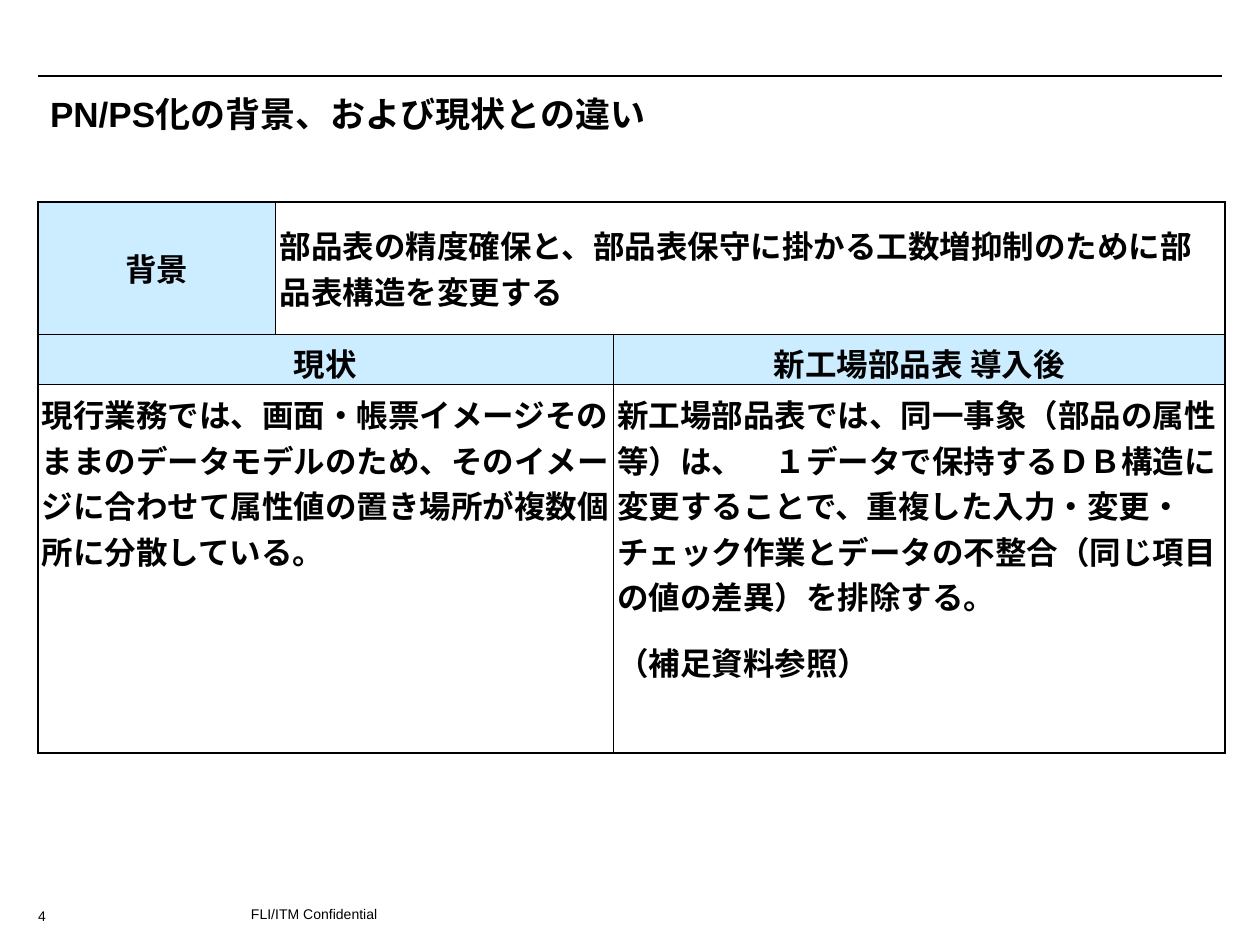
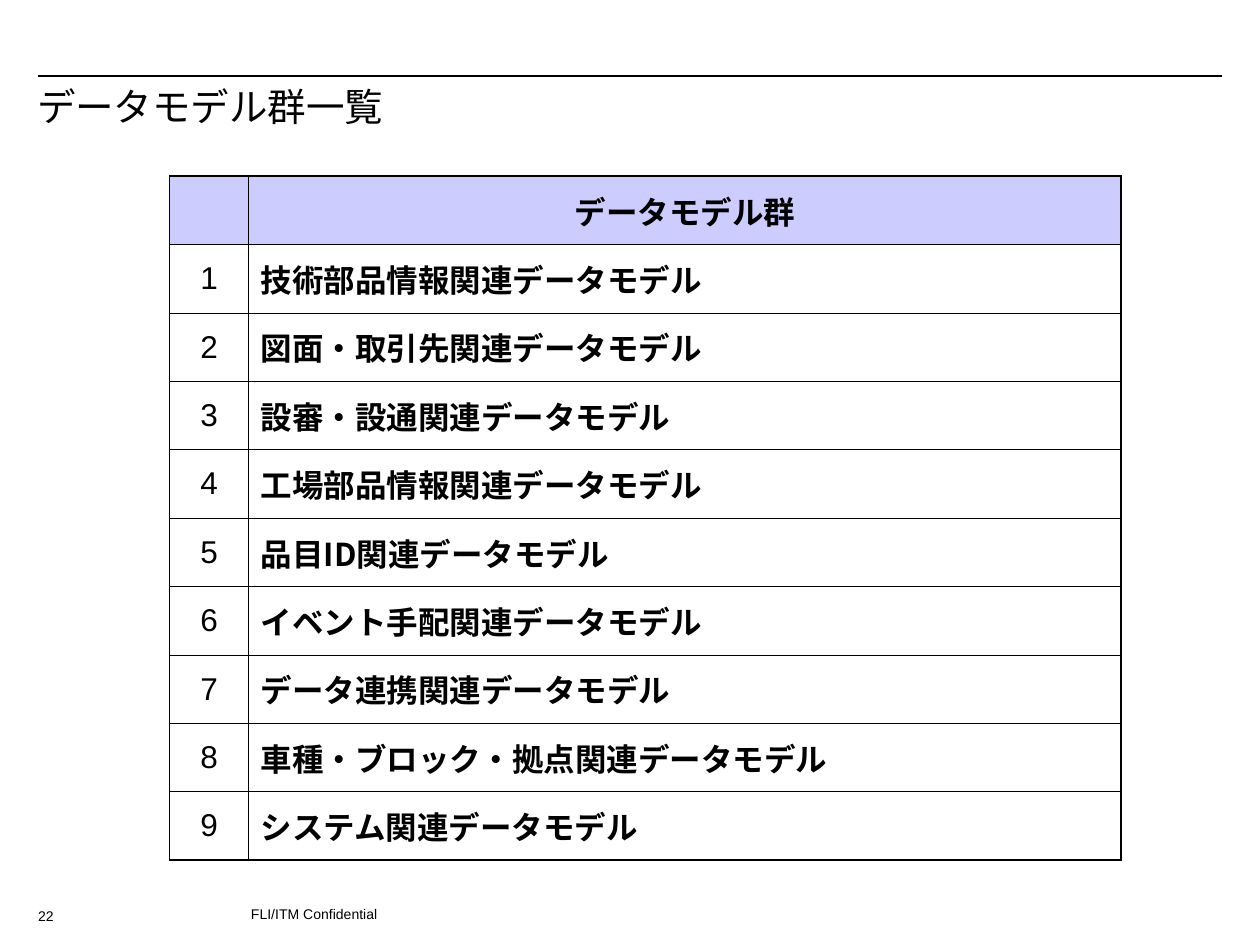
import pptx
import pptx.util
import pptx.dml.color
import pptx.enum.lang
import pptx.enum.shapes
import pptx.enum.text
import pptx.oxml.ns
from lxml import etree

Cm, Pt = pptx.util.Cm, pptx.util.Pt
RGBColor = pptx.dml.color.RGBColor
MSO_ANCHOR = pptx.enum.text.MSO_ANCHOR
PP_ALIGN = pptx.enum.text.PP_ALIGN
qn = pptx.oxml.ns.qn

BLACK = RGBColor(0x00, 0x00, 0x00)
PALE_BLUE = RGBColor(0xCC, 0xEC, 0xFF)
LAVENDER = RGBColor(0xCC, 0xCC, 0xFF)
ARIAL, GOTHIC, TIMES = "Arial", "Noto Sans CJK JP", "Times New Roman"
THICK, THIN = 1.08, 0.45
PAD_X, PAD_Y, PAD_NARROW = 0.25, 0.13, 0.08

MODEL_GROUPS = [
    "技術部品情報関連データモデル",
    "図面・取引先関連データモデル",
    "設審・設通関連データモデル",
    "工場部品情報関連データモデル",
    "品目ID関連データモデル",
    "イベント手配関連データモデル",
    "データ連携関連データモデル",
    "車種・ブロック・拠点関連データモデル",
    "システム関連データモデル",
]


def set_typeface(font, name, east):
    font.name = name
    font.language_id = pptx.enum.lang.MSO_LANGUAGE_ID.JAPANESE
    latin = font._element.find(qn("a:latin"))
    latin.addnext(etree.Element(qn("a:ea"), typeface=east))


def write(tf, paragraphs, size, bold=False, align=PP_ALIGN.LEFT,
          name=ARIAL, east=ARIAL):
    for i, runs in enumerate(paragraphs):
        p = tf.add_paragraph() if i else tf.paragraphs[0]
        p.alignment = align
        if i:
            p.space_before = Pt(11.2)
        p.font.size = Pt(size)
        p.font.bold = bold
        p.font.color.rgb = BLACK
        if isinstance(runs, str):
            set_typeface(p.font, name, east)
            runs = [(runs, None)]
        for text, typeface in runs:
            r = p.add_run()
            r.text = text
            if typeface:
                set_typeface(r.font, typeface, east)


def add_text(s, box, paragraphs, size, bold=False, anchor=MSO_ANCHOR.TOP):
    tf = s.shapes.add_textbox(*map(Cm, box)).text_frame
    tf.word_wrap = True
    tf.vertical_anchor = anchor
    tf.margin_left = tf.margin_right = Cm(PAD_X)
    tf.margin_top = tf.margin_bottom = Cm(PAD_Y)
    write(tf, paragraphs, size, bold)
    return tf


def add_frame(prs, number):
    s = prs.slides.add_slide(prs.slide_layouts[6])
    rule = s.shapes.add_connector(
        pptx.enum.shapes.MSO_CONNECTOR.STRAIGHT,
        Cm(0.76), Cm(1.53), Cm(24.64), Cm(1.53))
    rule.line.color.rgb = BLACK
    rule.line.width = Pt(0.75)
    etree.SubElement(rule._element.spPr, qn("a:effectLst"))
    add_text(s, (4.81, 18.13, 16.5, 0.5), ["FLI/ITM Confidential"], 8)
    add_text(s, (0.52, 18.16, 1.02, 0.5), [number], 8)
    return s


def add_grid(s, left, top, widths, heights):
    table = s.shapes.add_table(
        len(heights), len(widths), Cm(left), Cm(top),
        Cm(sum(widths)), Cm(sum(heights))).table
    table.first_row = table.horz_banding = False
    for col, width in zip(table.columns, widths):
        col.width = Cm(width)
    for row, height in zip(table.rows, heights):
        row.height = Cm(height)
    return table


def set_borders(table, r, c):
    cell = table.cell(r, c)
    outer = {
        "L": c == 0,
        "R": c + cell.span_width == len(table.columns),
        "T": r == 0,
        "B": r + 1 == len(table.rows),
    }
    tcPr = cell._tc.get_or_add_tcPr()
    for side, is_outer in outer.items():
        width = Pt(THICK if is_outer else THIN)
        ln = etree.SubElement(tcPr, qn("a:ln" + side), w=str(width))
        fill = etree.SubElement(ln, qn("a:solidFill"))
        etree.SubElement(fill, qn("a:srgbClr"), val=str(BLACK))


def fill_cell(table, r, c, paragraphs, fill=None, pad=PAD_X, bold=True,
              align=PP_ALIGN.LEFT, anchor=MSO_ANCHOR.MIDDLE, name=ARIAL):
    cell = table.cell(r, c)
    set_borders(table, r, c)
    if fill is None:
        cell.fill.background()
    else:
        cell.fill.solid()
        cell.fill.fore_color.rgb = fill
    cell.margin_left = cell.margin_right = Cm(pad)
    cell.margin_top = cell.margin_bottom = Cm(PAD_Y)
    cell.vertical_anchor = anchor
    write(cell.text_frame, paragraphs, 18, bold, align, name, GOTHIC)


def add_comparison(s, left, top):
    table = add_grid(s, left, top, [4.8, 6.8, 12.34], [2.66, 0.97, 7.42])
    table.cell(0, 1).merge(table.cell(0, 2))
    for r in (1, 2):
        table.cell(r, 0).merge(table.cell(r, 1))

    for r, c, text in [(0, 0, "背景"), (1, 0, "現状"),
                       (1, 2, "新工場部品表 導入後")]:
        fill_cell(table, r, c, [text], PALE_BLUE, PAD_NARROW,
                  align=PP_ALIGN.CENTER)
    fill_cell(table, 0, 1, [
        "部品表の精度確保と、部品表保守に掛かる工数増抑制のために"
        "部品表構造を変更する"], pad=PAD_NARROW)
    current = [
        "現行業務では、画面・帳票イメージそのままのデータモデルのため、"
        "そのイメージに合わせて属性値の置き場所が複数個所に分散している。"]
    planned = [
        [("新工場部品表では、同一事象（部品の属性等）は、", GOTHIC),
         ("　１データで保持するＤＢ構造に変更することで、重複した入力・変更・"
          "チェック作業とデータの不整合（同じ項目の値の差異）を排除する。",
          ARIAL)],
        "（補足資料参照）"]
    for c, paragraphs in [(0, current), (2, planned)]:
        fill_cell(table, 2, c, paragraphs, pad=PAD_NARROW,
                  anchor=MSO_ANCHOR.TOP)


def add_model_list(s, left, top):
    table = add_grid(s, left, top, [1.59, 17.59],
                     [1.38] * (len(MODEL_GROUPS) + 1))
    for c, heading in enumerate(["", "データモデル群"]):
        fill_cell(table, 0, c, [heading], LAVENDER, align=PP_ALIGN.CENTER)
    for r, group in enumerate(MODEL_GROUPS, 1):
        fill_cell(table, r, 0, [str(r)], bold=False, align=PP_ALIGN.CENTER)
        fill_cell(table, r, 1, [group], name=GOTHIC)


def build_background(prs):
    s = add_frame(prs, "4")
    add_comparison(s, 0.76, 4.07)
    title = [("PN/PS", ARIAL), ("化の背景、および現状との違い", TIMES)]
    add_text(s, (0.76, 1.78, 23.37, 1.02), [title], 20, True,
             MSO_ANCHOR.MIDDLE)


def build_model_groups(prs):
    s = add_frame(prs, "22")
    tf = add_text(s, (0.5, 1.65, 24.5, 2.06), ["データモデル群一覧"], 22)
    tf.paragraphs[0].line_spacing = 0.9
    add_model_list(s, 3.42, 3.55)


def main():
    prs = pptx.Presentation()
    prs.slide_width, prs.slide_height = Cm(25.4), Cm(19.05)
    build_background(prs)
    build_model_groups(prs)
    prs.save("out.pptx")


if __name__ == "__main__":
    main()
